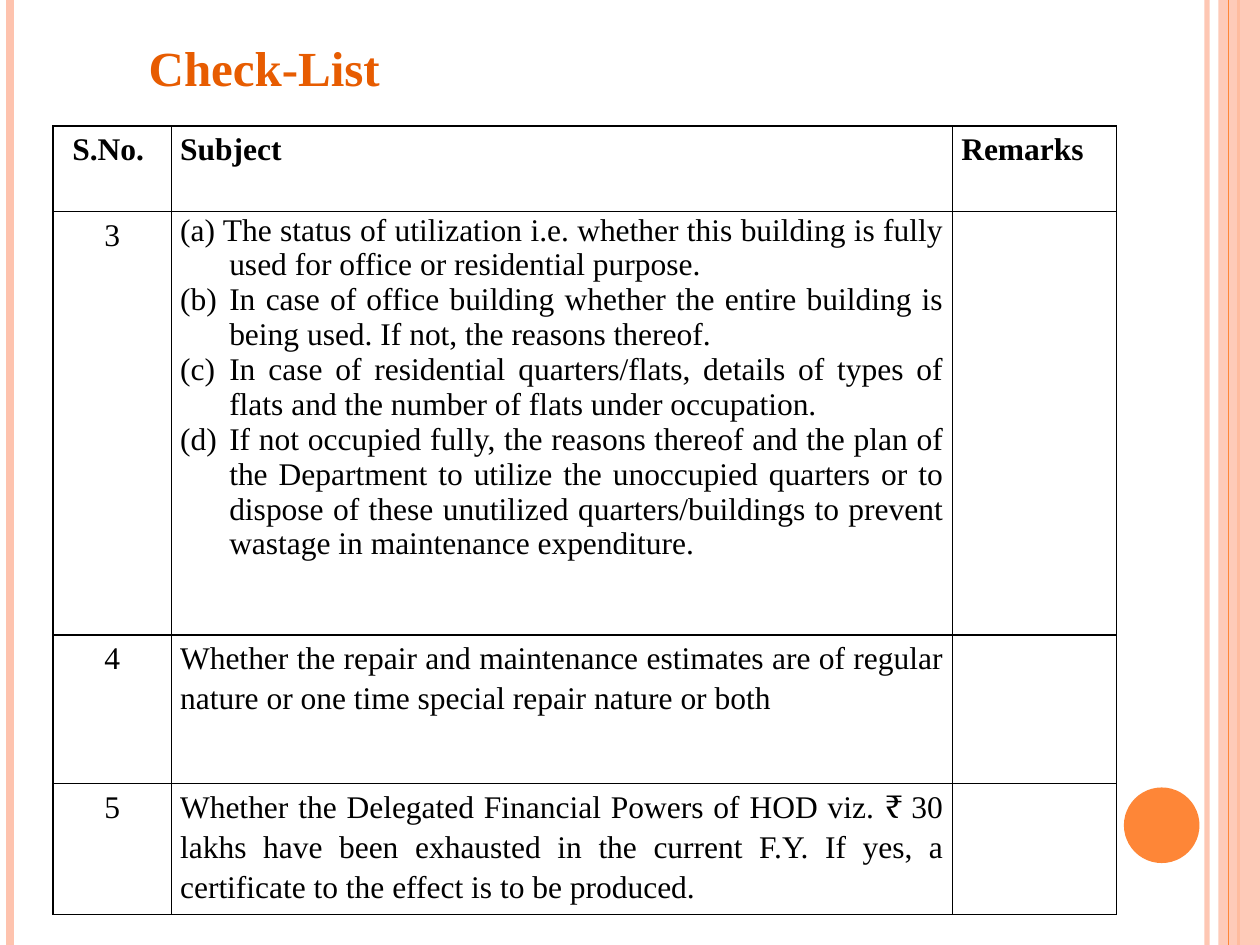
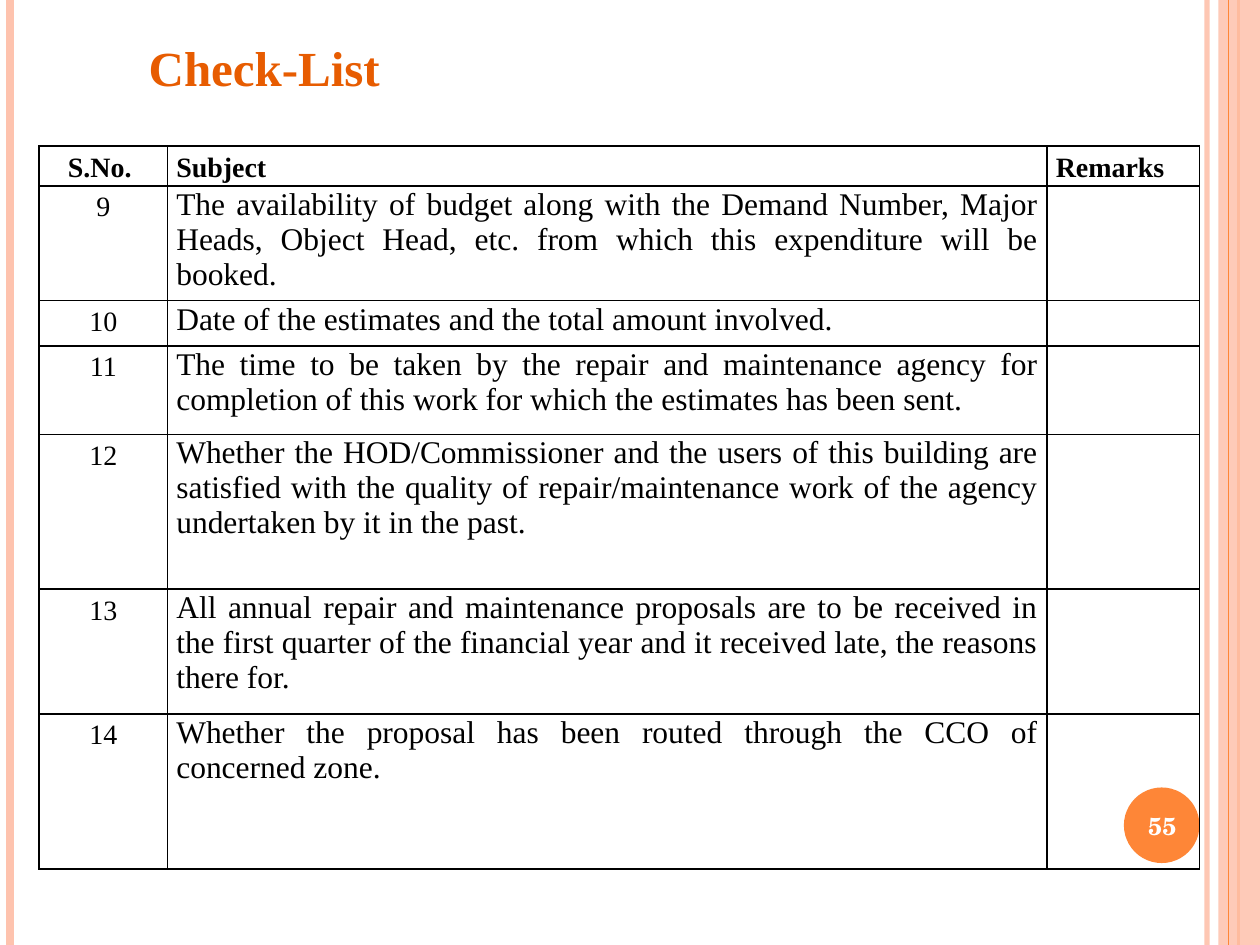
from lxml.etree import SubElement
from pptx import Presentation
from pptx.dml.color import RGBColor
from pptx.enum.shapes import MSO_CONNECTOR, MSO_SHAPE
from pptx.enum.text import MSO_ANCHOR, MSO_AUTO_SIZE, PP_ALIGN
from pptx.oxml.ns import qn
from pptx.util import Inches, Pt

COLS, ROWS = 100, 75
HUES = {"ink": "000000", "white": "FFFFFF", "peach": "FEC3AE",
        "orange": "FE8637", "rust": "E75C01"}
SERIF, SCHOOL = "Times New Roman", "TeX Gyre Schola"
SPACED = {"line_spacing": 1.15, "space_after": Pt(10)}
MID = {"alignment": PP_ALIGN.CENTER}
LEFT = {"alignment": PP_ALIGN.LEFT}
BLOCK = {"alignment": PP_ALIGN.JUSTIFY}
INSETS = {"margin_left": Inches(0.07), "margin_right": Inches(0.07),
          "margin_top": Inches(0.01), "margin_bottom": 0}
HANG = Inches(0.39)
HEADS = [("S.No. ", MID), ("Subject", LEFT), ("Remarks", LEFT)]


def apply(item, form):
    for name, value in form.items():
        setattr(item, name, value)


class Deck:
    def __init__(self):
        self.file = Presentation()
        self.file.slide_width, self.file.slide_height = Inches(10), Inches(7.5)
        self.slide = None

    def grid(self, x, y):
        return (round(self.file.slide_width * x / COLS),
                round(self.file.slide_height * y / ROWS))

    def frame(self, x, y, wide, high):
        return *self.grid(x, y), *self.grid(wide, high)

    def hue(self, name):
        return RGBColor.from_string(HUES[name])

    def fade(self, shape, share):
        for node in shape._element.iter(qn("a:srgbClr")):
            SubElement(node, qn("a:alpha"), val=str(share * 1000))

    def text(self, frame, lines, size, hue="ink", bold=False, font=SERIF,
             form=LEFT, hang=False):
        for i, line in enumerate(lines):
            par = frame.add_paragraph() if i else frame.paragraphs[0]
            if hang:
                props = par._p.get_or_add_pPr()
                props.set("marL", str(HANG))
                props.set("indent", str(-HANG))
            apply(par, form)
            run = par.add_run()
            run.text = line
            apply(run.font, {"size": Pt(size), "bold": bold, "name": font})
            run.font.color.rgb = self.hue(hue)

    def rule(self, x, hue, width, share=100):
        line = self.slide.shapes.add_connector(
            MSO_CONNECTOR.STRAIGHT, *self.grid(x, 0), *self.grid(x, ROWS))
        line.line.color.rgb = self.hue(hue)
        line.line.width = Pt(width)
        SubElement(line._element.spPr, qn("a:effectLst"))
        if share < 100:
            self.fade(line, share)

    def shape(self, kind, box, hue, share=100):
        shape = self.slide.shapes.add_shape(kind, *self.frame(*box))
        shape.shadow.inherit = False
        shape.fill.solid()
        shape.fill.fore_color.rgb = self.hue(hue)
        shape.line.fill.background()
        if share < 100:
            self.fade(shape, share)

    def title(self, words):
        title = self.slide.shapes.title
        apply(title, dict(zip(("left", "top", "width", "height"),
                              self.frame(10.8, 2.5, 32.5, 5.7))))
        apply(title.text_frame, {"vertical_anchor": MSO_ANCHOR.TOP,
                                 "auto_size": MSO_AUTO_SIZE.NONE,
                                 "word_wrap": True})
        self.text(title.text_frame, [words], 28, "rust", True)

    def page(self, words, number=None):
        self.slide = self.file.slides.add_slide(self.file.slide_layouts[5])
        self.rule(95.8, "peach", 3, 93)
        self.rule(0.8, "peach", 4.5)
        self.rule(98.3, "orange", 1.5)
        self.shape(MSO_SHAPE.RECTANGLE, (96.7, 0, 3.3, ROWS), "peach", 87)
        self.rule(97.5, "orange", 0.75)
        self.shape(MSO_SHAPE.OVAL, (89.2, 62.5, 6, 6), "orange")
        if number:
            box = self.slide.shapes.add_textbox(
                *self.frame(88.9, 62.7, 6.7, 5.7)).text_frame
            apply(box, {"word_wrap": True,
                        "vertical_anchor": MSO_ANCHOR.MIDDLE})
            self.text(box, [number], 14, "white", True, SCHOOL, MID)
        self.title(words)

    def edge(self, cell):
        props = cell._tc.get_or_add_tcPr()
        for side in ("lnL", "lnR", "lnT", "lnB"):
            line = SubElement(props, qn(f"a:{side}"), w=str(Pt(1)))
            fill = SubElement(line, qn("a:solidFill"))
            SubElement(fill, qn("a:srgbClr"), val=HUES["ink"])
        cell.fill.background()

    def table(self, x, y, widths, head, rows, size):
        high = head + sum(row[0] for row in rows)
        table = self.slide.shapes.add_table(
            len(rows) + 1, len(widths),
            *self.frame(x, y, sum(widths), high)).table
        apply(table, {"first_row": False, "horz_banding": False})
        for col, wide in zip(table.columns, widths):
            col.width = self.grid(wide, 0)[0]
        for row, tall in zip(table.rows, [head] + [row[0] for row in rows]):
            row.height = self.grid(0, tall)[1]
        for cell in table.iter_cells():
            apply(cell, INSETS)
            self.edge(cell)
        for i, (word, form) in enumerate(HEADS):
            self.text(table.cell(0, i).text_frame, [word], size, bold=True,
                      form=form | SPACED)
        for i, (_, mark, lines, space) in enumerate(rows, 1):
            self.text(table.cell(i, 0).text_frame, [mark], size,
                      form=MID | SPACED)
            self.text(table.cell(i, 1).text_frame, lines, 18,
                      form=BLOCK | space, hang=len(lines) > 1)


USE = [
    (33.6, "3", [
        "(a) The status of utilization i.e. whether this building is fully used for office or residential purpose.",
        "(b)\tIn case of office building whether the entire building is being used. If not, the reasons thereof. ",
        "(c)\tIn case of residential quarters/flats, details of types of flats and the number of flats under occupation.",
        "(d)\tIf not occupied fully, the reasons thereof and the plan of the Department to utilize the unoccupied "
        "quarters or to dispose of these unutilized quarters/buildings to prevent wastage in maintenance "
        "expenditure."], {}),
    (11.8, "4", [
        "Whether the repair and maintenance estimates are of regular nature or one time special repair nature "
        "or both "], SPACED),
    (10.4, "5", [
        "Whether the Delegated Financial Powers of HOD viz. ₹ 30 lakhs have been exhausted in the current F.Y. "
        "If yes, a certificate to the effect is to be produced."], SPACED),
]
FUNDS = [
    (9.1, "9", [
        "The availability of budget along with the Demand Number, Major Heads, Object Head, etc. from which "
        "this expenditure will be booked."], {}),
    (3.6, "10", ["Date of the estimates and the total amount involved."], {}),
    (7, "11", [
        "The time to be taken by the repair and maintenance agency for completion of this work for which the "
        "estimates has been sent."], {}),
    (12.3, "12", [
        "Whether the HOD/Commissioner and the users of this building are satisfied with the quality of "
        "repair/maintenance work of the agency undertaken by it in the past."], {}),
    (9.9, "13", [
        "All annual repair and maintenance proposals are to be received in the first quarter of the financial "
        "year and it received late, the reasons there for."], {}),
    (12.3, "14", ["Whether the proposal has been routed through the CCO of concerned zone."], {}),
]


def main():
    deck = Deck()
    deck.page("Check-List")
    deck.table(4.2, 10, (9.4, 62, 13), 6.8, USE, 18)
    deck.page("Check-List", "55")
    deck.table(3.1, 11.6, (10.2, 69.8, 12.1), 3.1, FUNDS, 16)
    deck.file.save("out.pptx")


if __name__ == "__main__":
    main()
